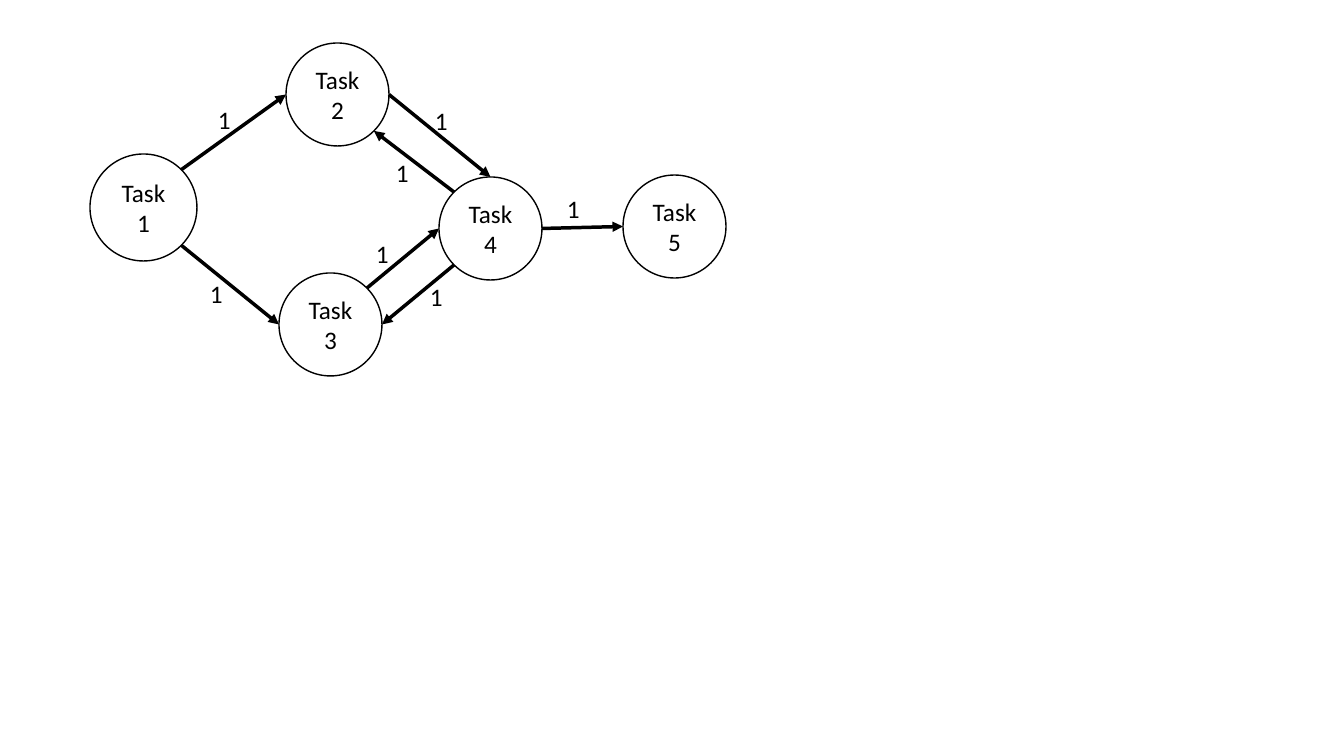
import math

from lxml import etree
from pptx import Presentation
from pptx.dml.color import RGBColor
from pptx.enum.shapes import MSO_CONNECTOR, MSO_SHAPE
from pptx.enum.text import MSO_ANCHOR, MSO_AUTO_SIZE, PP_ALIGN
from pptx.oxml.ns import qn
from pptx.util import Emu, Pt

CIRCLE = MSO_SHAPE.FLOWCHART_CONNECTOR
STRAIGHT = MSO_CONNECTOR.STRAIGHT
MIDDLE, TOP = MSO_ANCHOR.MIDDLE, MSO_ANCHOR.TOP
CENTER, LEFT = PP_ALIGN.CENTER, PP_ALIGN.LEFT
GROW = MSO_AUTO_SIZE.SHAPE_TO_FIT_TEXT

EMU_PER_PIXEL = 914400 / 100.8
BLACK, WHITE = "000000", "FFFFFF"

# Task name: left, top, diameter
TASKS = {
    "Task1": (90, 154, 107),
    "Task2": (286, 43, 103),
    "Task3": (279, 273, 103),
    "Task4": (439, 177, 103),
    "Task5": (623, 175, 103),
}

# Directions on a circle, in degrees clockwise from the right
ANGLES = {"right": 0, "bottom right": 45, "bottom left": 135, "left": 180,
          "top left": 225, "top": 270, "top right": 315}

# Start task and side, end task and side, weight, label left, top, width
EDGES = [
    ("Task1", "top right", "Task2", "left", "1", (208, 99, 48)),
    ("Task1", "bottom right", "Task3", "left", "1", (200, 273, 48)),
    ("Task2", "right", "Task4", "top", "1", (425, 100, 43)),
    ("Task3", "top right", "Task4", "left", "1", (366, 233, 48)),
    ("Task4", "right", "Task5", "left", "1", (557, 188, 48)),
    ("Task4", "top left", "Task2", "bottom right", "1", (386, 152, 43)),
    ("Task4", "bottom left", "Task3", "right", "1", (420, 276, 43)),
]
LABEL_HEIGHT = 40


def px(pixels):
    return Emu(round(pixels * EMU_PER_PIXEL))


def color(hex_string):
    return RGBColor.from_string(hex_string)


def write_text(shape, text, size=18, font="Calibri", fill=BLACK,
               align=LEFT, anchor=TOP):
    frame = shape.text_frame
    frame.word_wrap = True
    frame.vertical_anchor = anchor
    paragraph = frame.paragraphs[0]
    paragraph.alignment = align
    run = paragraph.add_run()
    run.text = text
    run.font.name = font
    run.font.size = Pt(size)
    run.font.color.rgb = color(fill)


def add_task(slide, name):
    left, top, diameter = TASKS[name]
    shape = slide.shapes.add_shape(
        CIRCLE, px(left), px(top), px(diameter), px(diameter))
    shape.shadow.inherit = False
    shape.fill.solid()
    shape.fill.fore_color.rgb = color(WHITE)
    shape.line.color.rgb = color(BLACK)
    shape.line.width = Pt(1)
    write_text(shape, name, align=CENTER, anchor=MIDDLE)


def point_on_task(name, side):
    left, top, diameter = TASKS[name]
    radius = diameter / 2
    angle = math.radians(ANGLES[side])
    return (px(left + radius + radius * math.cos(angle)),
            px(top + radius + radius * math.sin(angle)))


def add_arrow(slide, start, end):
    connector = slide.shapes.add_connector(STRAIGHT, *start, *end)
    connector.line.color.rgb = color(BLACK)
    connector.line.width = Pt(2.5)
    line = connector.line._get_or_add_ln()
    etree.SubElement(line, qn("a:tailEnd"), type="triangle")
    etree.SubElement(connector._element.spPr, qn("a:effectLst"))


def add_label(slide, text, left, top, width):
    box = slide.shapes.add_textbox(
        px(left), px(top), px(width), px(LABEL_HEIGHT))
    write_text(box, text)
    box.text_frame.auto_size = GROW


def main():
    presentation = Presentation()
    presentation.slide_width = px(1344)
    presentation.slide_height = px(756)
    slide = presentation.slides.add_slide(presentation.slide_layouts[6])

    # Tasks
    for name in TASKS:
        add_task(slide, name)

    # Weighted arrows between tasks
    for source, source_side, target, target_side, weight, place in EDGES:
        add_arrow(slide, point_on_task(source, source_side),
                  point_on_task(target, target_side))
        add_label(slide, weight, *place)

    presentation.save("out.pptx")


main()
